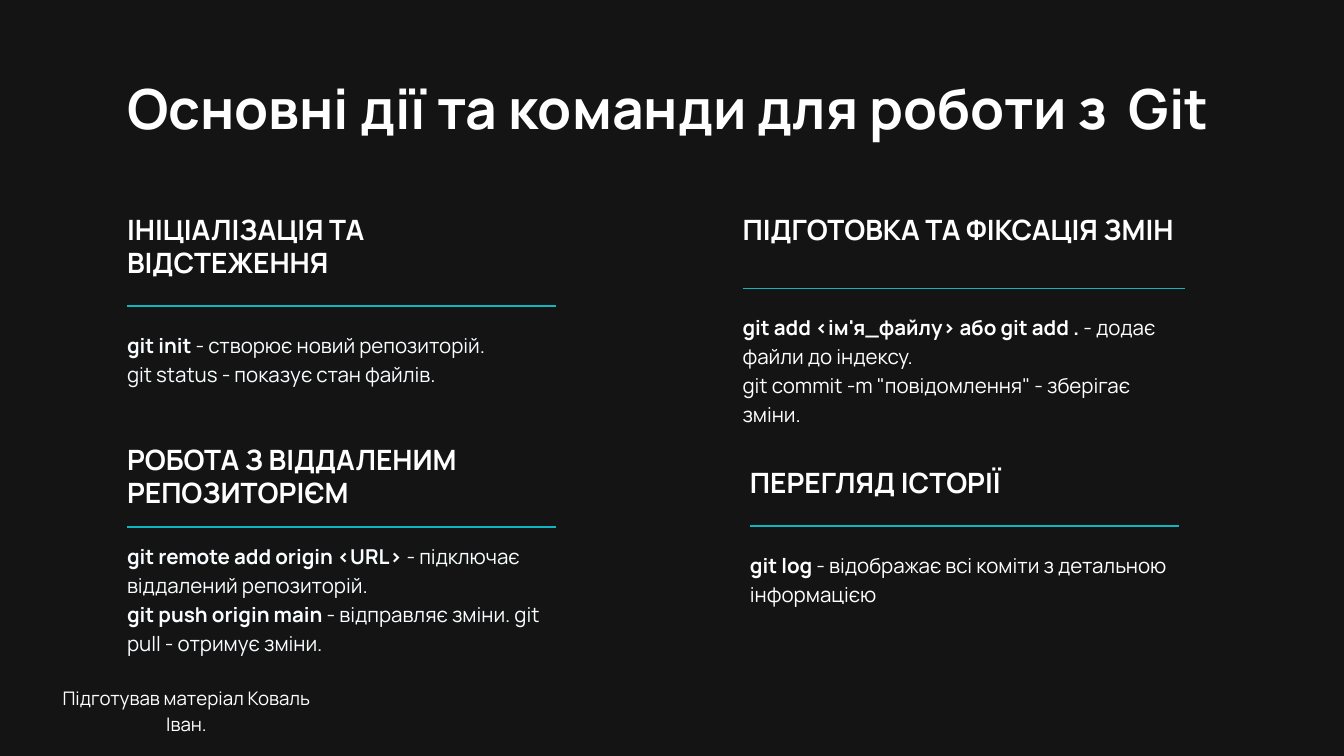
"""Build a slide listing the main Git actions and commands."""
from lxml import etree
from pptx import Presentation
from pptx.dml.color import RGBColor
from pptx.enum import shapes, text
from pptx.oxml import ns
from pptx.util import Inches, Pt

DARK = RGBColor(0x14, 0x14, 0x14)
WHITE = RGBColor(0xFF, 0xFF, 0xFF)
PALE = RGBColor(0xF8, 0xFE, 0xFF)
TEAL = RGBColor(0x10, 0xB5, 0xBF)
LEFT, RIGHT = text.PP_ALIGN.LEFT, text.PP_ALIGN.CENTER


def write(box, paras, size, lead, color=WHITE, align=LEFT):
    frame = box.text_frame
    frame.word_wrap = True
    frame.auto_size = text.MSO_AUTO_SIZE.NONE
    frame.vertical_anchor = text.MSO_ANCHOR.TOP
    frame.margin_left = frame.margin_right = 0
    frame.margin_top = frame.margin_bottom = 0
    for i, parts in enumerate(paras):
        para = frame.add_paragraph() if i else frame.paragraphs[0]
        para.alignment = align
        para.line_spacing = Pt(lead)
        para.space_before = Pt(0)
        for words, bold in parts:
            run = para.add_run()
            run.text = words
            run.font.name = "Manrope"
            run.font.size = Pt(size)
            run.font.bold = bold
            run.font.color.rgb = color


def add_box(x, y, w, h):
    return slide.shapes.add_textbox(Inches(x), Inches(y), Inches(w), Inches(h))


deck = Presentation()
deck.slide_width, deck.slide_height = Inches(20), Inches(11.25)
slide = deck.slides.add_slide(deck.slide_layouts[5])
slide.background.fill.solid()
slide.background.fill.fore_color.rgb = DARK

title = slide.shapes.title
title.left, title.top = Inches(1.89), Inches(1.1)
title.width, title.height = Inches(16.22), Inches(1)
write(title, [[("Основні дії та команди для роботи з  Git", True)]], 59.2, 71.1)

blocks = [
    (1.89, 6.38, 3.16, 1.01, 4.55, 2, 4.9, 1.26, PALE,
     "ІНІЦІАЛІЗАЦІЯ ТА ВІДСТЕЖЕННЯ",
     [[("git init ", True), ("- створює новий репозиторій.", False)],
      [("git status - показує стан файлів.", False)]]),
    (11.16, 6.38, 6.93, 0.51, 7.83, 2, 8.17, 1.26, WHITE,
     "ПЕРЕГЛЯД ІСТОРІЇ",
     [[("git log ", True),
       ("- відображає всі коміти з детальною інформацією", False)]]),
    (11.05, 6.59, 3.16, 0.51, 4.29, 1.5, 4.63, 1.7, WHITE,
     "ПІДГОТОВКА ТА ФІКСАЦІЯ ЗМІН",
     [[("git add <ім'я_файлу> або git add .", True),
       (" - додає файли до індексу.", False)],
      [('git commit -m "повідомлення" - зберігає зміни.', False)]]),
    (1.89, 6.38, 6.58, 1.01, 7.84, 1.5, 8.04, 1.7, PALE,
     "РОБОТА З ВІДДАЛЕНИМ РЕПОЗИТОРІЄМ",
     [[("git remote add origin <URL>", True),
       (" - підключає віддалений репозиторій.", False)],
      [("git push origin main ", True),
       ("- відправляє зміни. git pull - отримує зміни.", False)]]),
]
for x, w, top, high, rule, thick, low, deep, color, head, body in blocks:
    write(add_box(x, top, w, high), [[(head, True)]], 30, 36)
    write(add_box(x, low, w, deep), body, 22, 30.8, color)
    line = slide.shapes.add_connector(
        shapes.MSO_CONNECTOR.STRAIGHT,
        Inches(x), Inches(rule), Inches(x + w), Inches(rule))
    line.line.color.rgb = TEAL
    line.line.width = Pt(thick)
    etree.SubElement(line._element.spPr, ns.qn("a:effectLst"))

write(add_box(0.72, 10.17, 4.11, 0.39),
      [[("Підготував матеріал Коваль Іван.", False)]], 20, 28, align=RIGHT)

deck.save("out.pptx")
